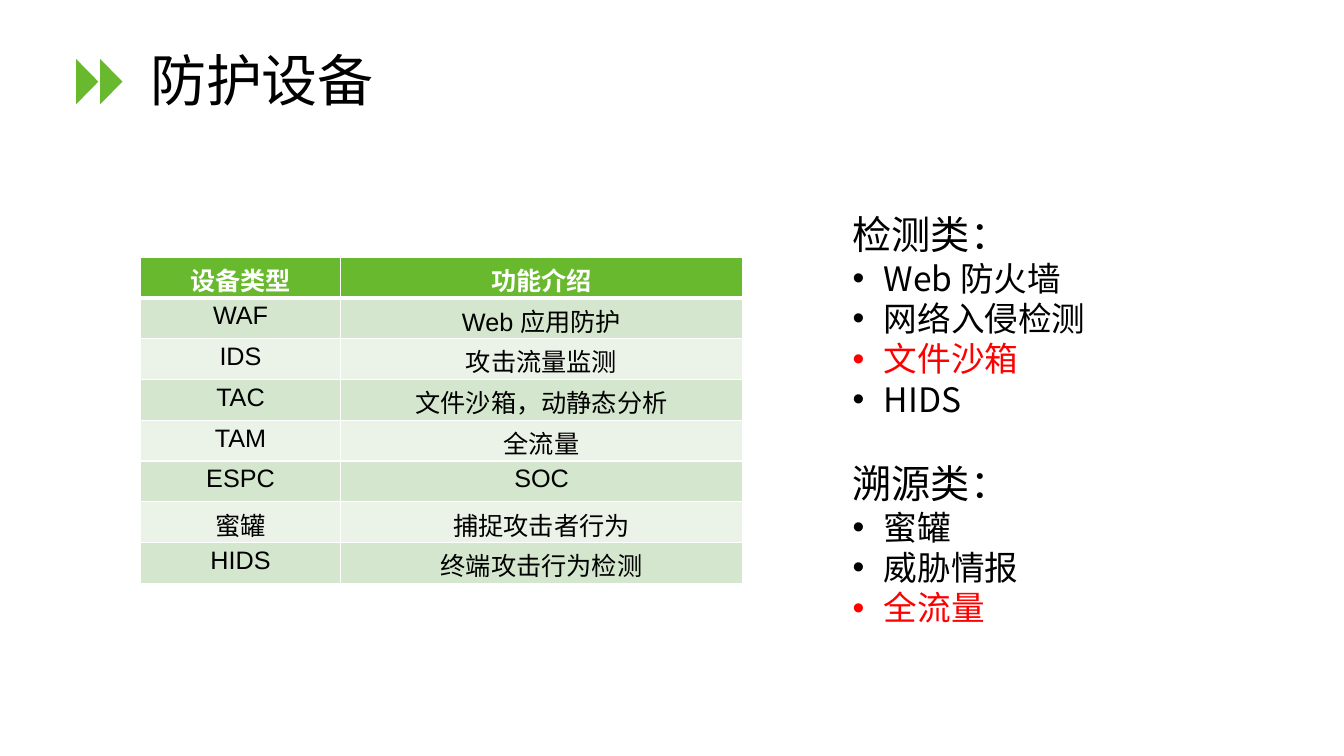
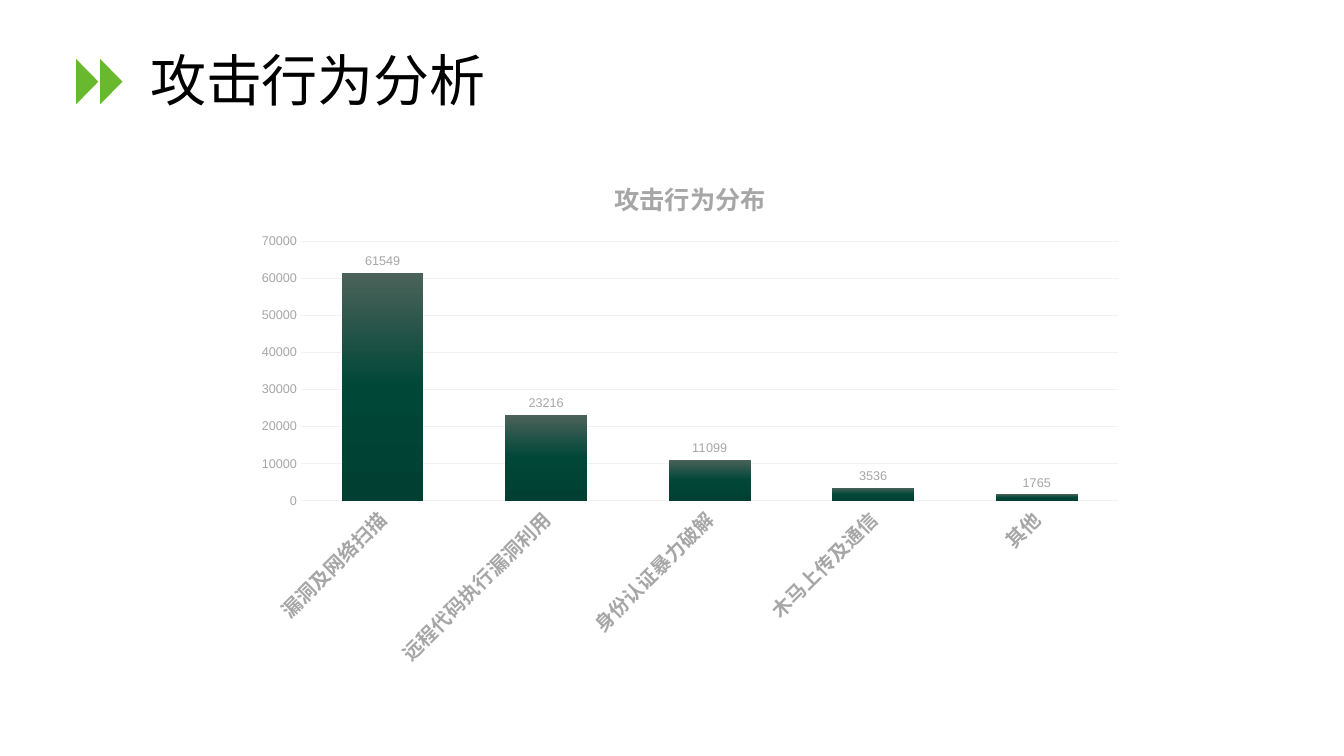
from dataclasses import dataclass

from lxml import etree
from pptx import Presentation
from pptx import util as u
from pptx.chart.data import CategoryChartData
from pptx.dml.color import RGBColor
from pptx.enum import chart as charts, shapes, text
from pptx.oxml import parse_xml
from pptx.oxml.ns import nsdecls, qn

COLORS = {
    "green": "68B92E", "band_dark": "D4E6CD", "band_light": "EBF3E8",
    "black": "000000", "white": "FFFFFF", "red": "FF0000",
    "label": "A6A6A6", "grid": "F2F2F2",
    "bar_top": "4B625A", "bar_middle": "004738", "bar_bottom": "003F32",
}
LATIN, CHINESE = "Arial", "Noto Sans CJK SC"
WIDTH, HEIGHT = u.Inches(13.33), u.Inches(7.5)


@dataclass
class Box:
    left: int
    top: int
    width: int
    height: int

    def frame(self):
        return self.left, self.top, self.width, self.height


def share(left, top, width, height):
    """Box from percentages of the slide's width and height."""
    return Box(int(WIDTH * left / 100), int(HEIGHT * top / 100),
               int(WIDTH * width / 100), int(HEIGHT * height / 100))


MARKER = share(5.66, 7.8, 3.45, 6)
TITLE = share(10.43, 1.33, 82.75, 19.33)
TABLE = share(10.43, 34, 44.8, 43.2)
LISTS = share(62.7, 27.2, 24.3, 56.93)
CHART = share(18.15, 20.67, 66.4, 68.8)

DEVICES = [
    ("设备类型", "功能介绍"),
    ("WAF", "Web 应用防护"),
    ("IDS", "攻击流量监测"),
    ("TAC", "文件沙箱，动静态分析"),
    ("TAM", "全流量"),
    ("ESPC", "SOC"),
    ("蜜罐", "捕捉攻击者行为"),
    ("HIDS", "终端攻击行为检测"),
]
GROUPS = [
    ("检测类：", ["Web 防火墙", "网络入侵检测", "文件沙箱", "HIDS"], "文件沙箱"),
    ("溯源类：", ["蜜罐", "威胁情报", "全流量"], "全流量"),
]
ATTACKS = {"漏洞及网络扫描": 61549, "远程代码执行漏洞利用": 23216,
           "身份认证暴力破解": 11099, "木马上传及通信": 3536, "其他": 1765}


def color(name):
    return RGBColor.from_string(COLORS[name])


def style(font, size, shade, name=CHINESE, bold=False):
    font.size, font.bold, font.name = u.Pt(size), bold, name
    font.color.rgb = color(shade)
    latin = font._element.find(qn("a:latin"))
    latin.addnext(parse_xml(f'<a:ea {nsdecls("a")} typeface="{CHINESE}"/>'))


def add_heading(slide, title):
    # Two arrowheads: triangles turned to point right
    thickness = int(MARKER.width * 0.48)
    for left in (MARKER.left, MARKER.left + MARKER.width - thickness):
        offset = (MARKER.height - thickness) // 2
        triangle = slide.shapes.add_shape(
            shapes.MSO_SHAPE.ISOSCELES_TRIANGLE, left - offset,
            MARKER.top + offset, MARKER.height, thickness)
        triangle.rotation = 90
        triangle.shadow.inherit = False
        triangle.fill.solid()
        triangle.fill.fore_color.rgb = color("green")
        triangle.line.fill.background()
    # Title text
    frame = slide.shapes.add_textbox(*TITLE.frame()).text_frame
    frame.word_wrap = True
    frame.vertical_anchor = text.MSO_ANCHOR.MIDDLE
    frame.text = title
    frame.paragraphs[0].line_spacing = 0.9
    style(frame.paragraphs[0].runs[0].font, 40, "black")


def set_borders(cell, top, bottom):
    properties = cell._tc.get_or_add_tcPr()
    sides = {"lnL": 1, "lnR": 1, "lnT": top, "lnB": bottom}
    for index, (side, points) in enumerate(sides.items()):
        properties.insert(index, parse_xml(
            f'<a:{side} {nsdecls("a")} w="{u.Pt(points)}"><a:solidFill>'
            f'<a:srgbClr val="{COLORS["white"]}"/></a:solidFill></a:{side}>'))


def add_device_table(slide, box):
    table = slide.shapes.add_table(len(DEVICES), 2, *box.frame()).table
    for column, part in zip(table.columns, (1, 2)):
        column.width = box.width * part // 3
    for row, values in enumerate(DEVICES):
        header = row == 0
        band = "green" if header else ("band_dark" if row % 2 else "band_light")
        for column, value in enumerate(values):
            cell = table.cell(row, column)
            cell.margin_top, cell.margin_bottom = u.Inches(0.04), 0
            cell.fill.solid()
            cell.fill.fore_color.rgb = color(band)
            set_borders(cell, 3 if row == 1 else 1, 3 if header else 1)
            cell.text_frame.text = value
            paragraph = cell.text_frame.paragraphs[0]
            paragraph.alignment = text.PP_ALIGN.CENTER
            style(paragraph.runs[0].font, 18, "white" if header else "black",
                  LATIN, header)


def add_bullet(paragraph):
    properties = paragraph._p.get_or_add_pPr()
    indent = u.Inches(0.31)
    properties.set("marL", str(indent))
    properties.set("indent", str(-indent))
    font = etree.SubElement(properties, qn("a:buFont"))
    font.set("typeface", LATIN)
    etree.SubElement(properties, qn("a:buChar")).set("char", "•")


def add_device_lists(slide, box):
    frame = slide.shapes.add_textbox(*box.frame()).text_frame
    frame.word_wrap = True
    lines = [(line, line == heading, line == highlight)
             for heading, items, highlight in GROUPS
             for line in [heading, *items]]
    for index, (line, is_heading, is_highlight) in enumerate(lines):
        paragraph = frame.add_paragraph() if index else frame.paragraphs[0]
        paragraph.text = line
        if not is_heading:
            add_bullet(paragraph)
        elif index:
            paragraph.space_before = u.Pt(29)
        style(paragraph.runs[0].font, 28 if is_heading else 24,
              "red" if is_highlight else "black")


def set_gradient(series):
    stops = "".join(
        f'<a:gs pos="{position}"><a:srgbClr val="{COLORS[name]}"/></a:gs>'
        for position, name in ((0, "bar_top"), (50000, "bar_middle"),
                               (100000, "bar_bottom")))
    series._element.get_or_add_spPr().insert(0, parse_xml(
        f'<a:gradFill {nsdecls("a")} rotWithShape="1"><a:gsLst>{stops}</a:gsLst>'
        '<a:lin ang="5400000" scaled="0"/></a:gradFill>'))


def add_attack_chart(slide, box):
    name = "攻击行为分布"
    data = CategoryChartData()
    data.categories = list(ATTACKS)
    data.add_series(name, list(ATTACKS.values()))
    chart = slide.shapes.add_chart(charts.XL_CHART_TYPE.COLUMN_CLUSTERED,
                                   *box.frame(), data).chart
    style(chart.font, 10, "black", LATIN)
    chart.has_legend = False
    chart.has_title = True
    chart.chart_title.include_in_layout = False
    title = chart.chart_title.text_frame
    title.text = name
    style(title.paragraphs[0].runs[0].font, 18, "label", LATIN, True)

    # Bars and their values
    plot = chart.plots[0]
    plot.gap_width, plot.overlap = 100, -24
    plot.vary_by_categories = False
    set_gradient(plot.series[0])
    labels = plot.series[0].data_labels
    labels.show_value = True
    labels.position = charts.XL_LABEL_POSITION.OUTSIDE_END
    style(labels.font, 9, "label", LATIN)

    # Axes
    categories, values = chart.category_axis, chart.value_axis
    for axis, size, bold in ((categories, 14, True), (values, 9, False)):
        axis.major_tick_mark = charts.XL_TICK_MARK.NONE
        axis.minor_tick_mark = charts.XL_TICK_MARK.NONE
        style(axis.tick_labels.font, size, "label", LATIN, bold)
    categories._element.txPr.bodyPr.set("rot", "-2700000")
    values.minimum_scale, values.maximum_scale = 0, 70000
    values.major_unit = 10000
    values.has_major_gridlines = True
    values.format.line.fill.background()
    for line in (categories.format.line, values.major_gridlines.format.line):
        line.color.rgb = color("grid")
        line.width = u.Pt(0.75)


def add_slide(presentation, title, parts):
    slide = presentation.slides.add_slide(presentation.slide_layouts[6])
    add_heading(slide, title)
    for add_part, box in parts:
        add_part(slide, box)


def main():
    presentation = Presentation()
    presentation.slide_width, presentation.slide_height = WIDTH, HEIGHT
    add_slide(presentation, "防护设备",
              [(add_device_lists, LISTS), (add_device_table, TABLE)])
    add_slide(presentation, "攻击行为分析", [(add_attack_chart, CHART)])
    presentation.save("out.pptx")


if __name__ == "__main__":
    main()
